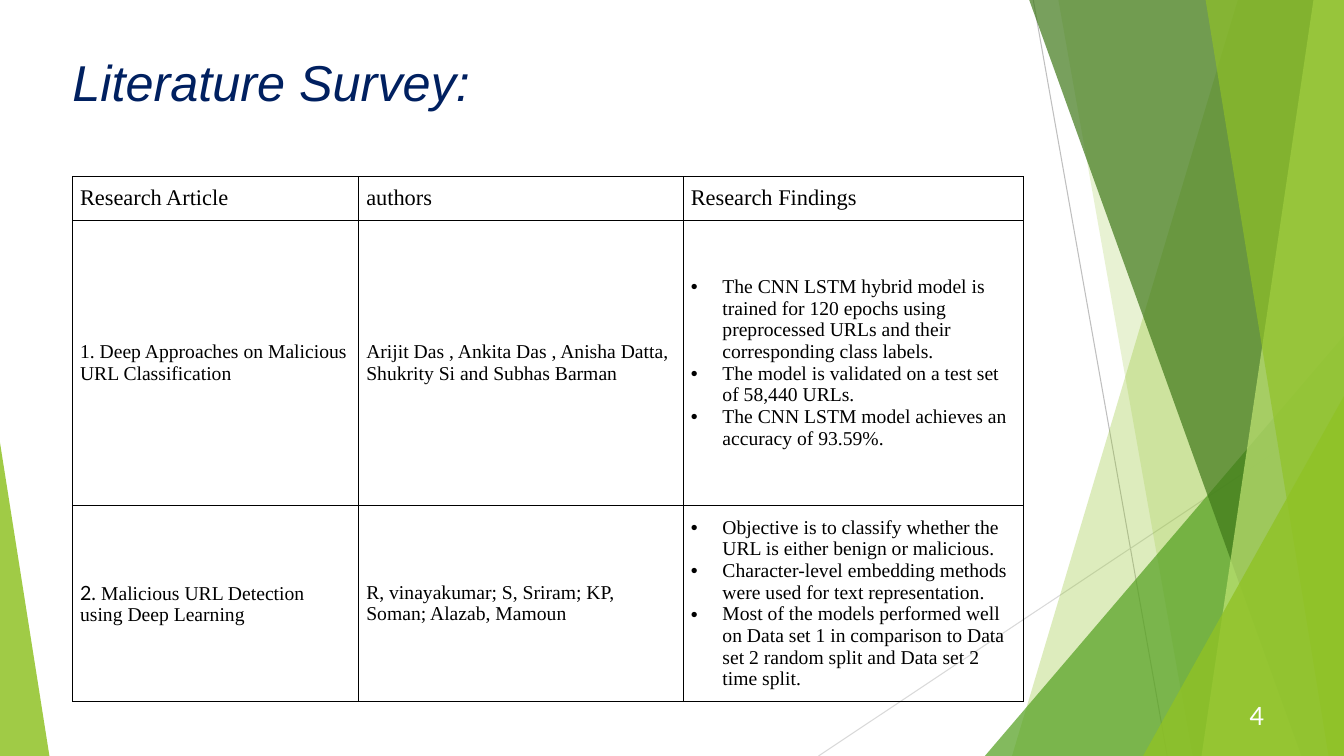
from dataclasses import dataclass

from lxml import etree
from pptx import Presentation
from pptx.dml.color import RGBColor
from pptx.enum.shapes import MSO_CONNECTOR, MSO_SHAPE
from pptx.enum.text import MSO_ANCHOR
from pptx.oxml import parse_xml
from pptx.oxml.ns import nsdecls, qn
from pptx.util import Inches, Pt

STRAIGHT = MSO_CONNECTOR.STRAIGHT
TRIANGLE = MSO_SHAPE.ISOSCELES_TRIANGLE
MIDDLE = MSO_ANCHOR.MIDDLE
WIDTH, HEIGHT = Inches(13.33), Inches(7.5)


@dataclass(frozen=True)
class Theme:
    navy: str = "002060"
    black: str = "000000"
    white: str = "FFFFFF"
    grey: str = "BFBFBF"
    pale_grey: str = "D9D9D9"
    lime: str = "90C226"
    leaf: str = "54A021"
    forest: str = "3F7819"
    mint: str = "C0E474"
    title_font: str = "Arial"
    table_font: str = "Times New Roman"
    number_font: str = "Lato"
    title_size: int = 36
    number_size: int = 18
    header_size: int = 16
    body_size: int = 14
    hairline: float = 0.75
    border: float = 0.6


THEME = Theme()

# Positions on a grid of 100 columns by 100 rows
GUIDE_LINES = [
    (76.88, 0, 86.85, 100, THEME.grey),
    (100, 53.73, 60.9, 100, THEME.pale_grey),
]
# Bands reach the right edge: top column, bottom column, colour, opacity
BACK_BANDS = [(92.1, 75.3, THEME.lime, 30), (78.75, 88.73, THEME.lime, 20)]
FRONT_BANDS = [
    (76.58, 96.83, THEME.forest, 70),
    (97.73, 89.4, THEME.mint, 70),
    (89.7, 98.85, THEME.lime, 65),
]
TABLE_COLUMNS = [21.3, 24.15, 25.28]
TABLE_ROWS = [5.8, 37.73, 25.93]
HEADER = ["Research Article", "authors", "Research Findings"]
ARTICLES = [
    (
        "1. Deep Approaches on Malicious URL Classification",
        "Arijit Das , Ankita Das , Anisha Datta, Shukrity Si and Subhas Barman",
        [
            "The CNN LSTM hybrid model is trained for 120 epochs using "
            "preprocessed URLs and their corresponding class labels.",
            "The model is validated on a test set of 58,440 URLs.",
            "The CNN LSTM model achieves an accuracy of 93.59%.",
        ],
    ),
    (
        "Malicious URL Detection using Deep Learning",
        "R, vinayakumar; S, Sriram; KP, Soman; Alazab, Mamoun",
        [
            "Objective is to classify whether the URL is either benign or malicious.",
            "Character-level embedding methods were used for text representation.",
            "Most of the models performed well on Data set 1 in comparison to "
            "Data set 2 random split and Data set 2 time split.",
        ],
    ),
]


def column(count):
    return round(WIDTH * count / 100)


def row(count):
    return round(HEIGHT * count / 100)


def style_font(font, name, size, color):
    font.name = name
    font.size = Pt(size)
    font.color.rgb = RGBColor.from_string(color)


def paint(shape, color, opacity):
    shape.shadow.inherit = False
    shape.line.fill.background()
    shape.fill.solid()
    shape.fill.fore_color.rgb = RGBColor.from_string(color)
    tint = shape.fill._xPr.find(qn("a:solidFill"))[0]
    etree.SubElement(tint, qn("a:alpha"), val=str(opacity * 1000))


def add_guide(page, x1, y1, x2, y2, color):
    line = page.shapes.add_connector(
        STRAIGHT, column(x1), row(y1), column(x2), row(y2))
    line.line.color.rgb = RGBColor.from_string(color)
    line.line.width = Pt(THEME.hairline)
    etree.SubElement(line._element.spPr, qn("a:effectLst"))


def add_band(page, top, bottom, color, opacity):
    outline = page.shapes.build_freeform(column(top), 0)
    outline.add_line_segments(
        [(WIDTH, 0), (WIDTH, HEIGHT), (column(bottom), HEIGHT)], close=True)
    paint(outline.convert_to_shape(), color, opacity)


def add_corner(page, left, right, top, apex, color, opacity):
    corner = page.shapes.add_shape(
        TRIANGLE, column(left), row(top), column(right - left), row(100 - top))
    corner.adjustments[0] = apex
    paint(corner, color, opacity)


def add_text(page, left, top, width, height, text, name, size, color, italic=False):
    box = page.shapes.add_textbox(column(left), row(top), column(width), row(height))
    box.text_frame.word_wrap = True
    para = box.text_frame.paragraphs[0]
    para.text = text
    style_font(para.font, name, size, color)
    para.font.italic = italic


def add_bullet(para):
    props = para._p.get_or_add_pPr()
    indent = column(2.35)
    props.set("marL", str(indent))
    props.set("indent", str(-indent))
    etree.SubElement(props, qn("a:buFont"), typeface="Arial")
    etree.SubElement(props, qn("a:buChar"), char="•")


def frame_cell(cell):
    cell.fill.background()
    cell.vertical_anchor = MIDDLE
    cell.margin_left = cell.margin_right = column(0.56)
    cell.margin_top = cell.margin_bottom = row(0.5)
    props = cell._tc.get_or_add_tcPr()
    for place, side in enumerate(("lnL", "lnR", "lnT", "lnB")):
        props.insert(place, parse_xml(
            f'<a:{side} {nsdecls("a")} w="{Pt(THEME.border)}"><a:solidFill>'
            f'<a:srgbClr val="{THEME.black}"/></a:solidFill></a:{side}>'))


def fill_cell(cell, content, size):
    frame_cell(cell)
    bulleted = isinstance(content, list)
    lines = content if bulleted else [content]
    for index, text in enumerate(lines):
        frame = cell.text_frame
        para = frame.add_paragraph() if index else frame.paragraphs[0]
        if bulleted:
            add_bullet(para)
        para.text = text
        style_font(para.font, THEME.table_font, size, THEME.black)


def prefix_number(cell, text):
    """Set the article's number in its own font before the title."""
    para = cell.text_frame.paragraphs[0]
    title = para.runs[0].text
    para.runs[0].text = text
    para.runs[0].font.name = THEME.number_font
    para.add_run().text = title


def add_survey(page):
    table = page.shapes.add_table(
        len(TABLE_ROWS), len(TABLE_COLUMNS), column(5.4), row(23.33),
        column(sum(TABLE_COLUMNS)), row(sum(TABLE_ROWS))).table
    table.first_row = table.horz_banding = False
    for index, width in enumerate(TABLE_COLUMNS):
        table.columns[index].width = column(width)
    for y, contents in enumerate([HEADER, *ARTICLES]):
        table.rows[y].height = row(TABLE_ROWS[y])
        size = THEME.body_size if y else THEME.header_size
        for x, content in enumerate(contents):
            fill_cell(table.cell(y, x), content, size)
    prefix_number(table.cell(2, 0), "2. ")


def add_backdrop(page):
    for guide in GUIDE_LINES:
        add_guide(page, *guide)
    for band in BACK_BANDS:
        add_band(page, *band)
    add_corner(page, 73.28, 100, 44.4, 1, THEME.leaf, 72)
    for band in FRONT_BANDS:
        add_band(page, *band)
    add_corner(page, 85.05, 100, 52.4, 1, THEME.lime, 80)
    add_corner(page, 0, 3.68, 58.53, 0, THEME.lime, 85)


def main():
    deck = Presentation()
    deck.slide_width, deck.slide_height = WIDTH, HEIGHT
    page = deck.slides.add_slide(deck.slide_layouts[6])
    add_backdrop(page)
    # Page number, table and title
    add_text(page, 92.25, 92, 3.9, 5.33, "4",
             THEME.number_font, THEME.number_size, THEME.white)
    add_survey(page)
    add_text(page, 4.65, 6.13, 70.5, 19.2, "Literature Survey:",
             THEME.title_font, THEME.title_size, THEME.navy, italic=True)
    deck.save("out.pptx")


if __name__ == "__main__":
    main()
